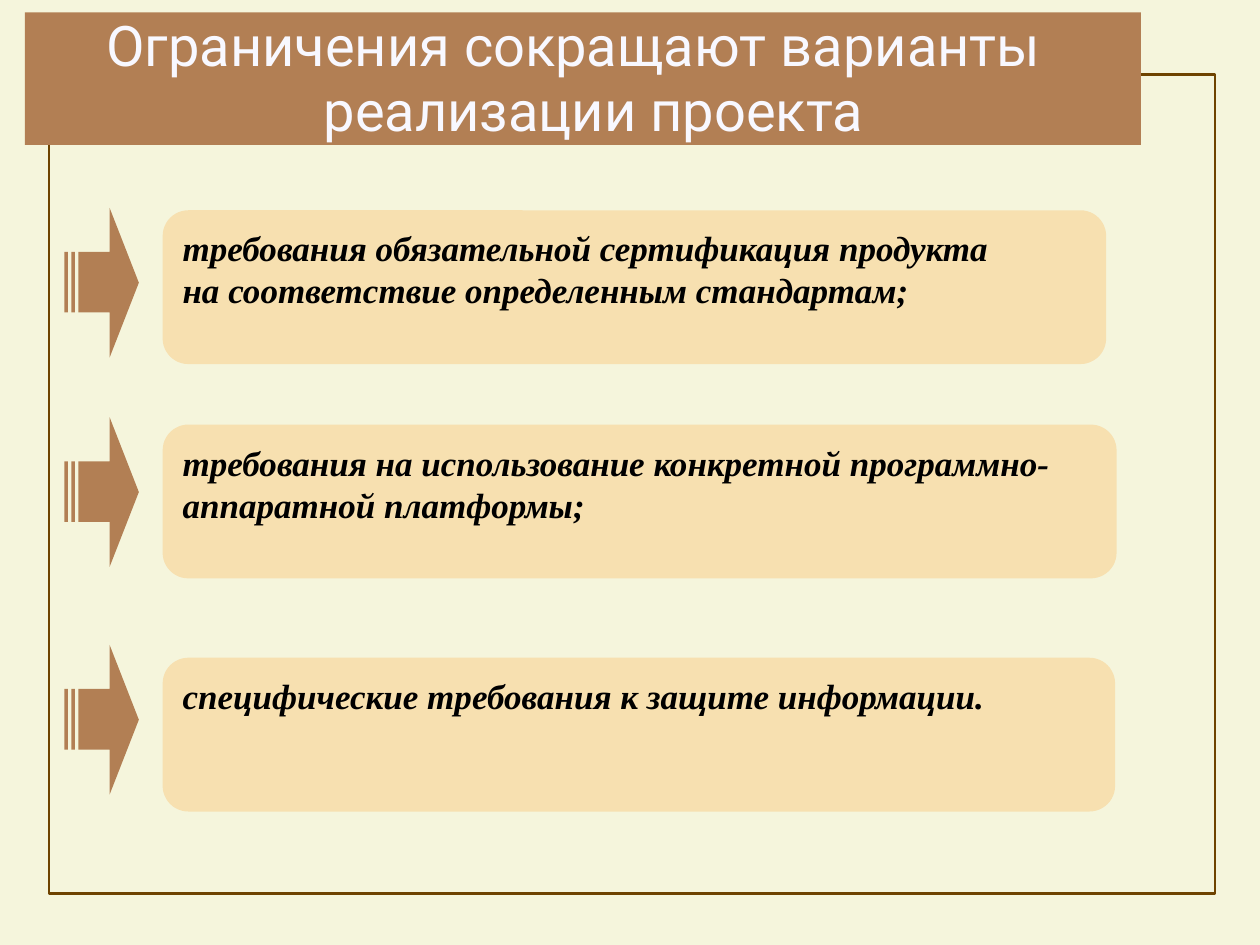
from pptx import Presentation
from pptx.dml.color import RGBColor
from pptx.enum.shapes import MSO_SHAPE
from pptx.enum.text import MSO_ANCHOR, PP_ALIGN
from pptx.util import Cm, Pt

RECT, ROUND = MSO_SHAPE.RECTANGLE, MSO_SHAPE.ROUNDED_RECTANGLE
TOP, MIDDLE = MSO_ANCHOR.TOP, MSO_ANCHOR.MIDDLE
LEFT, CENTER = PP_ALIGN.LEFT, PP_ALIGN.CENTER

CREAM = RGBColor(0xF5, 0xF5, 0xDC)
BROWN = RGBColor(0x6E, 0x43, 0x00)
CLAY = RGBColor(0xB2, 0x7F, 0x54)
SAND = RGBColor(0xF7, 0xE0, 0xB0)
BLACK = RGBColor(0, 0, 0)
WHITE = RGBColor(0xF8, 0xF8, 0xFF)

TITLE = ["Ограничения сокращают варианты", "реализации проекта"]
# box top, box width, arrow top, paragraphs
ROWS = [
    (4.24, 19.02, 4.19, ["требования обязательной сертификация продукта",
                         "на соответствие определенным стандартам;"]),
    (8.56, 19.23, 8.41, ["требования на использование конкретной "
                         "программно-аппаратной платформы;"]),
    (13.26, 19.2, 13, ["специфические требования к защите информации."]),
]


class Deck:
    """Holds the style and the current slide."""
    head_font, body_font = "Roboto", "Times New Roman"
    head_size, body_size = Pt(32), Pt(20)

    def __init__(self, slide):
        self.slide = slide
        self.shapes = slide.shapes
        fill = slide.background.fill
        fill.solid()
        fill.fore_color.rgb = CREAM

    def paint(self, shape, color):
        shape.shadow.inherit = False
        shape.fill.solid()
        shape.fill.fore_color.rgb = color
        shape.line.fill.background()

    def pad(self, frame, left, top, right, bottom):
        frame.margin_left, frame.margin_top = Cm(left), Cm(top)
        frame.margin_right, frame.margin_bottom = Cm(right), Cm(bottom)
        frame.word_wrap = True

    def run(self, para, text, name, size, color, strong=False):
        run = para.add_run()
        run.text = text
        font = run.font
        font.name, font.size = name, size
        font.bold = font.italic = strong
        font.color.rgb = color

    def border(self, x, y, w, h):
        shape = self.shapes.add_shape(RECT, Cm(x), Cm(y), Cm(w), Cm(h))
        shape.shadow.inherit = False
        shape.fill.background()
        shape.line.color.rgb = BROWN
        shape.line.width = Pt(1.42)

    def title(self, x, y, w, h, lines):
        """Fill the title placeholder and bring it above the border."""
        shape = self.shapes.title
        self.shapes.element.append(shape.element)
        shape.left, shape.top = Cm(x), Cm(y)
        shape.width, shape.height = Cm(w), Cm(h)
        shape.fill.solid()
        shape.fill.fore_color.rgb = CLAY
        frame = shape.text_frame
        self.pad(frame, 0, 0.03, 0.36, 0)
        frame.vertical_anchor = MIDDLE
        para = frame.paragraphs[0]
        para.alignment, para.line_spacing = CENTER, 0.97
        # a hanging indent moves the second line to the right
        props = para._p.get_or_add_pPr()
        props.set("marL", str(Cm(0.8)))
        props.set("indent", str(-Cm(0.8)))
        for i, line in enumerate(lines):
            if i:
                para.add_line_break()
            self.run(para, line, self.head_font, self.head_size, WHITE)

    def box(self, x, y, w, h, lines):
        shape = self.shapes.add_shape(ROUND, Cm(x), Cm(y), Cm(w), Cm(h))
        shape.adjustments[0] = 0.167
        self.paint(shape, SAND)
        frame = shape.text_frame
        self.pad(frame, 0.25, 0.18, 0.25, 0.13)
        frame.vertical_anchor = TOP
        for i, line in enumerate(lines):
            para = frame.add_paragraph() if i else frame.paragraphs[0]
            para.alignment = LEFT
            self.run(para, line, self.body_font, self.body_size, BLACK, True)

    def arrow(self, x, y):
        """Draw a right arrow with two stripes at its tail."""
        high, low, end = 0.89, 2.11, 3.02
        head = [(0.91, 0), (1.5, end / 2), (0.91, end), (0.91, low),
                (0.28, low), (0.28, high), (0.91, high)]
        bars = [[(a, high), (a, low), (b, low), (b, high)]
                for a, b in [(0, 0.07), (0.14, 0.21)]]
        parts = [[(Cm(x + dx), Cm(y + dy)) for dx, dy in part]
                 for part in [head, *bars]]
        path = self.shapes.build_freeform(*parts[0][0])
        for i, part in enumerate(parts):
            if i:
                path.move_to(*part[0])
            path.add_line_segments(part[1:], close=True)
        self.paint(path.convert_to_shape(), CLAY)


def main():
    prs = Presentation()
    prs.slide_width, prs.slide_height = Cm(25.4), Cm(19.05)
    deck = Deck(prs.slides.add_slide(prs.slide_layouts[5]))
    deck.border(0.99, 1.5, 23.5, 16.51)
    deck.title(0.5, 0.25, 22.5, 2.67, TITLE)
    for top, width, tip, lines in ROWS:
        deck.box(3.28, top, width, 3.1, lines)
        deck.arrow(1.3, tip)
    prs.save("out.pptx")


if __name__ == "__main__":
    main()
